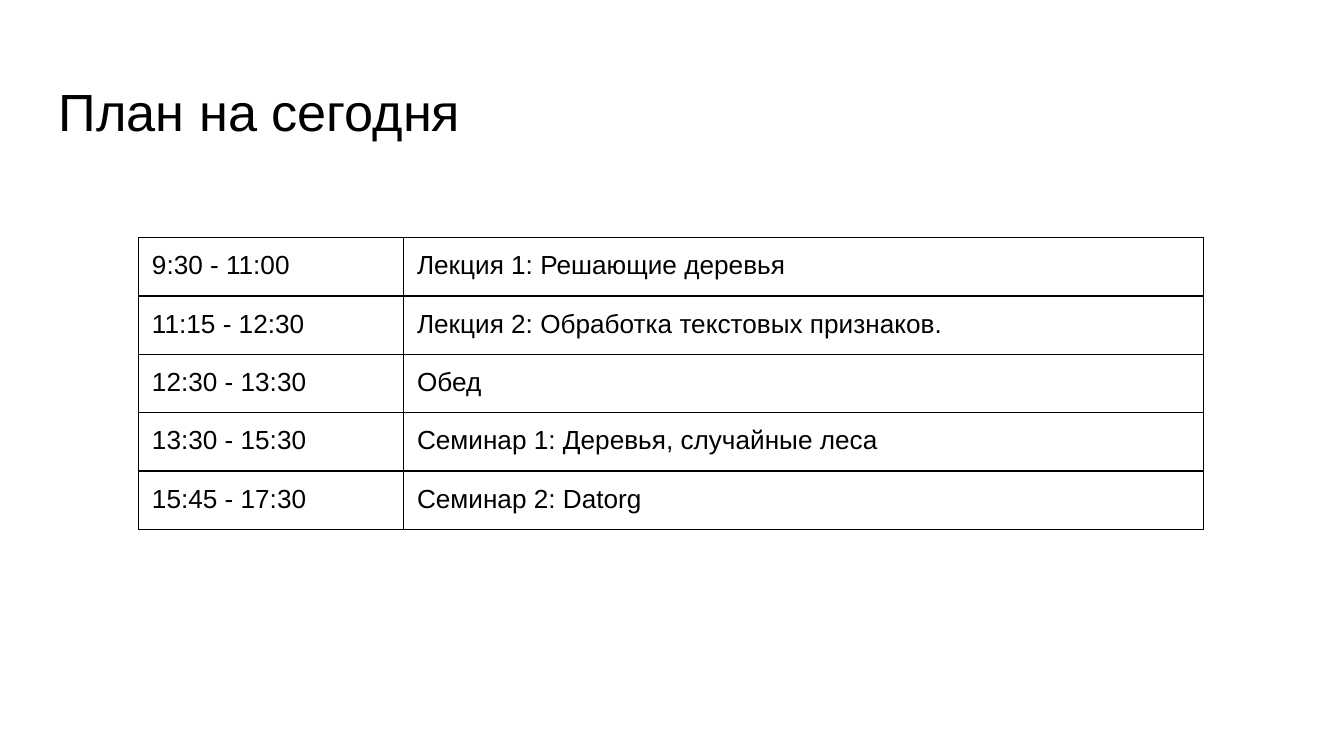
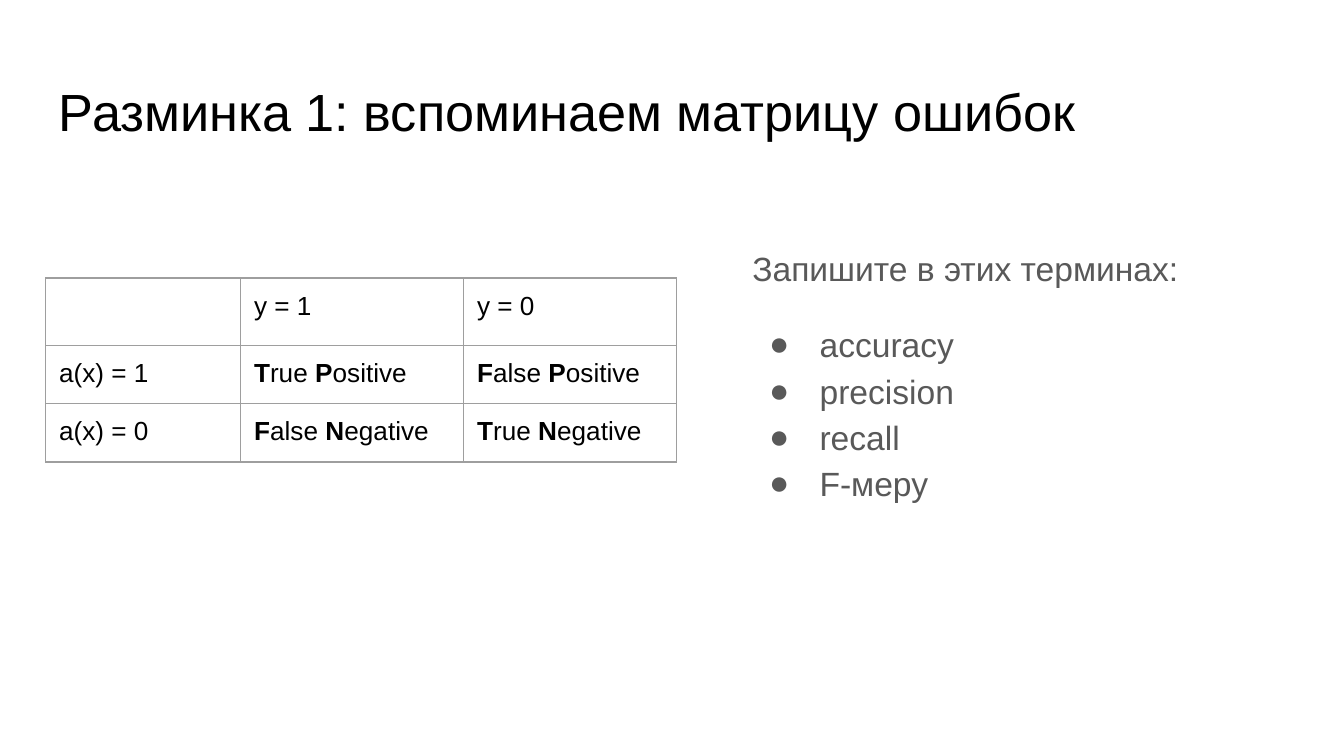
from dataclasses import dataclass

from lxml.etree import SubElement
from pptx import Presentation
from pptx.dml.color import RGBColor
from pptx.oxml.ns import qn
from pptx.util import Pt


@dataclass(frozen=True)
class Theme:
    font: str = "Arial"
    ink: str = "000000"
    muted: str = "595959"
    paper: str = "FFFFFF"
    matrix_line: str = "9E9E9E"
    title_size: float = 28
    body_size: float = 18
    cell_size: float = 14
    inset: float = 7.2
    line_width: float = 0.75
    body_spacing: float = 1.15


THEME = Theme()


def add_run(paragraph, text, size, color, bold=False):
    run = paragraph.add_run()
    run.text = text
    run.font.name = THEME.font
    run.font.size = Pt(size)
    run.font.bold = bold
    run.font.color.rgb = RGBColor.from_string(color)


def set_insets(holder):
    holder.margin_left = holder.margin_right = Pt(THEME.inset)
    holder.margin_top = holder.margin_bottom = Pt(THEME.inset)


def add_text_frame(slide, left, top, width, height):
    frame = slide.shapes.add_textbox(Pt(left), Pt(top), Pt(width), Pt(height)).text_frame
    frame.word_wrap = True
    set_insets(frame)
    return frame


def add_titled_slide(deck, title):
    slide = deck.slides.add_slide(deck.slide_layouts[6])
    slide.background.fill.solid()
    slide.background.fill.fore_color.rgb = RGBColor.from_string(THEME.paper)
    frame = add_text_frame(slide, 24.5, 35, 671, 45.1)
    add_run(frame.paragraphs[0], title, THEME.title_size, THEME.ink)
    return slide


def set_borders(cell, color):
    properties = cell._tc.get_or_add_tcPr()
    for position, side in enumerate(("lnL", "lnR", "lnT", "lnB")):
        line = properties.makeelement(qn(f"a:{side}"), {"w": str(Pt(THEME.line_width))})
        fill = SubElement(line, qn("a:solidFill"))
        SubElement(fill, qn("a:srgbClr"), val=color)
        properties.insert(position, line)


def add_grid(slide, left, top, widths, heights, rows, line_color):
    grid = slide.shapes.add_table(
        len(rows), len(widths), Pt(left), Pt(top), Pt(sum(widths)), Pt(sum(heights))
    ).table
    grid.first_row = grid.horz_banding = False
    for column, width in zip(grid.columns, widths):
        column.width = Pt(width)
    for row, height, entries in zip(grid.rows, heights, rows):
        row.height = Pt(height)
        for cell, entry in zip(row.cells, entries):
            set_insets(cell)
            cell.fill.background()
            set_borders(cell, line_color)
            for text, bold in entry:
                add_run(cell.text_frame.paragraphs[0], text, THEME.cell_size, THEME.ink, bold)


def plain(text):
    return [(text, False)]


def outcome(truth, answer):
    return [
        (truth[0], True),
        (truth[1:] + " ", False),
        (answer[0], True),
        (answer[1:], False),
    ]


def set_bullet(paragraph):
    properties = paragraph._p.get_or_add_pPr()
    properties.set("marL", str(Pt(36)))
    properties.set("indent", str(Pt(-27)))
    color = SubElement(properties, qn("a:buClr"))
    SubElement(color, qn("a:srgbClr"), val=THEME.muted)
    SubElement(properties, qn("a:buFont"), typeface=THEME.font)
    SubElement(properties, qn("a:buChar"), char="●")


def add_task(slide, prompt, metrics):
    frame = add_text_frame(slide, 396, 122.4, 263.5, 160.6)
    lead = frame.paragraphs[0]
    lead.line_spacing = THEME.body_spacing
    add_run(lead, prompt, THEME.body_size, THEME.muted)
    for index, metric in enumerate(metrics):
        item = frame.add_paragraph()
        item.line_spacing = THEME.body_spacing
        item.space_before = Pt(0 if index else 16)
        set_bullet(item)
        add_run(item, metric, THEME.body_size, THEME.muted)


def add_plan(deck):
    slide = add_titled_slide(deck, "План на сегодня")
    schedule = [
        ("9:30 - 11:00", "Лекция 1: Решающие деревья"),
        ("11:15 - 12:30", "Лекция 2: Обработка текстовых признаков."),
        ("12:30 - 13:30", "Обед"),
        ("13:30 - 15:30", "Семинар 1: Деревья, случайные леса"),
        ("15:45 - 17:30", "Семинар 2: Datorg"),
    ]
    rows = [[plain(text) for text in entry] for entry in schedule]
    add_grid(slide, 74.2, 127.4, [142, 428.4], [30, 30, 30, 28, 30], rows, THEME.ink)


def add_warm_up(deck):
    slide = add_titled_slide(deck, "Разминка 1: вспоминаем матрицу ошибок")
    add_task(slide, "Запишите в этих терминах:", ["accuracy", "precision", "recall", "F-меру"])
    rows = [
        [[], plain("y = 1"), plain("y = 0")],
        [plain("a(x) = 1"), outcome("True", "Positive"), outcome("False", "Positive")],
        [plain("a(x) = 0"), outcome("False", "Negative"), outcome("True", "Negative")],
    ]
    add_grid(slide, 24.5, 149, [104.4, 119.5, 114], [31, 30, 30], rows, THEME.matrix_line)


def main():
    deck = Presentation()
    deck.slide_width, deck.slide_height = Pt(720), Pt(405)
    add_plan(deck)
    add_warm_up(deck)
    deck.save("out.pptx")


if __name__ == "__main__":
    main()
